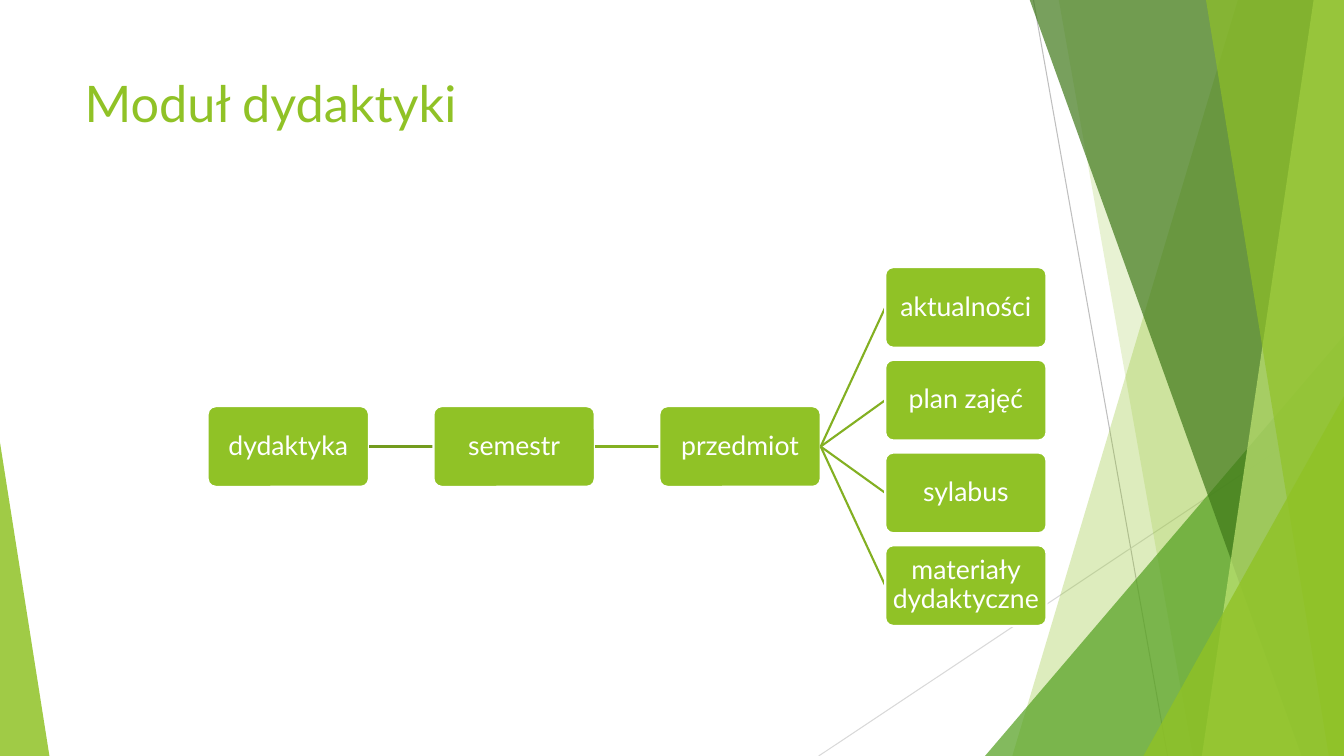
from dataclasses import dataclass

from lxml.etree import SubElement
from pptx import Presentation
from pptx.dml.color import RGBColor
from pptx.enum.shapes import MSO_CONNECTOR, MSO_SHAPE
from pptx.enum.text import MSO_ANCHOR, PP_ALIGN
from pptx.oxml.ns import qn
from pptx.shapes.autoshape import Shape
from pptx.shapes.connector import Connector
from pptx.shapes.shapetree import SlideShapes
from pptx.text.text import TextFrame
from pptx.util import Pt

PX = 9144
SLIDE_W, SLIDE_H = 1333, 750
TOP = -1


@dataclass(frozen=True)
class Theme:
    font: str = "Lato"
    title_size: float = 36
    node_size: float = 19
    lime: str = "90C226"
    pale_lime: str = "C0E474"
    green: str = "54A021"
    forest: str = "3F7819"
    first_link: str = "739B1E"
    link: str = "83B022"
    white: str = "FFFFFF"
    thread: str = "BFBFBF"
    pale_thread: str = "D9D9D9"
    thread_width: float = 0.75
    node_line: float = 1.5


@dataclass(frozen=True)
class Thread:
    start: tuple[int, int]
    end: tuple[int, int]
    color: str


@dataclass(frozen=True)
class Band:
    top_left: int
    bottom_left: int
    color: str
    opacity: int


@dataclass(frozen=True)
class Wedge:
    left: int
    top: int
    width: int
    apex: float
    color: str
    opacity: int


@dataclass(frozen=True)
class Node:
    label: str
    left: int
    top: int


THEME = Theme()

THREADS = [
    Thread((1025, 0), (1158, SLIDE_H), THEME.thread),
    Thread((SLIDE_W, 403), (812, SLIDE_H), THEME.pale_thread),
]
FACETS: list[Band | Wedge] = [
    Band(1228, 1004, THEME.lime, 30),
    Band(1050, 1183, THEME.lime, 20),
    Wedge(977, 333, 356, 1, THEME.green, 72),
    Band(1021, 1291, THEME.forest, 70),
    Band(1303, 1192, THEME.pale_lime, 70),
    Band(1196, 1318, THEME.lime, 65),
    Wedge(1134, 393, 199, 1, THEME.lime, 80),
    Wedge(0, 439, 49, 0, THEME.lime, 85),
]

NODE_W, NODE_H = 160, 80
TREE_LEFT, COLUMN_STEP = 206, 224
LEAF_TOP, LEAF_STEP = 265, 92
STEMS = ["dydaktyka", "semestr", "przedmiot"]
LEAVES = ["aktualności", "plan zajęć", "sylabus", "materiały dydaktyczne"]
STEM_TOP = LEAF_TOP + LEAF_STEP * (len(LEAVES) - 1) // 2


def paint(shape: Shape, color: str, opacity: int = 100) -> None:
    shape.shadow.inherit = False
    shape.fill.solid()
    shape.fill.fore_color.rgb = RGBColor.from_string(color)
    shape.line.fill.background()
    if opacity < 100:
        tint = shape.fill._xPr.find(qn("a:solidFill"))[0]
        SubElement(tint, qn("a:alpha")).set("val", str(opacity * 1000))


def write(frame: TextFrame, text: str, size: float, color: str) -> None:
    frame.word_wrap = True
    run = frame.paragraphs[0].add_run()
    run.text = text
    run.font.name = THEME.font
    run.font.size = Pt(size)
    run.font.color.rgb = RGBColor.from_string(color)


def draw_line(shapes: SlideShapes, start: tuple[int, int], end: tuple[int, int],
              color: str, width: float) -> Connector:
    line = shapes.add_connector(
        MSO_CONNECTOR.STRAIGHT, *(value * PX for value in (*start, *end)))
    line.line.color.rgb = RGBColor.from_string(color)
    line.line.width = Pt(width)
    SubElement(line._element.spPr, qn("a:effectLst"))
    return line


def draw_facet(shapes: SlideShapes, facet: Band | Wedge) -> None:
    if isinstance(facet, Band):
        outline = shapes.build_freeform(facet.top_left, TOP, scale=PX)
        outline.add_line_segments(
            [(SLIDE_W, TOP), (SLIDE_W, SLIDE_H), (facet.bottom_left, SLIDE_H)])
        shape = outline.convert_to_shape()
    else:
        shape = shapes.add_shape(
            MSO_SHAPE.ISOSCELES_TRIANGLE, facet.left * PX, facet.top * PX,
            facet.width * PX, (SLIDE_H - facet.top) * PX)
        shape.adjustments[0] = facet.apex
    paint(shape, facet.color, facet.opacity)


def draw_node(shapes: SlideShapes, node: Node) -> Shape:
    box = shapes.add_shape(
        MSO_SHAPE.ROUNDED_RECTANGLE, node.left * PX, node.top * PX,
        NODE_W * PX, NODE_H * PX)
    box.adjustments[0] = 0.1
    paint(box, THEME.lime)
    box.line.color.rgb = RGBColor.from_string(THEME.white)
    box.line.width = Pt(THEME.node_line)
    frame = box.text_frame
    frame.margin_left = frame.margin_right = PX
    frame.margin_top = frame.margin_bottom = PX
    frame.vertical_anchor = MSO_ANCHOR.MIDDLE
    write(frame, node.label, THEME.node_size, THEME.white)
    frame.paragraphs[0].alignment = PP_ALIGN.CENTER
    frame.paragraphs[0].line_spacing = 0.9
    return box


def draw_child(shapes: SlideShapes, parent: Node, parent_box: Shape,
               child: Node, color: str) -> Shape:
    link = draw_line(
        shapes, (parent.left + NODE_W, parent.top + NODE_H // 2),
        (child.left, child.top + NODE_H // 2), color, THEME.node_line)
    child_box = draw_node(shapes, child)
    link.begin_connect(parent_box, 3)
    link.end_connect(child_box, 1)
    return child_box


def draw_tree(shapes: SlideShapes) -> None:
    stems = [Node(label, TREE_LEFT + column * COLUMN_STEP, STEM_TOP)
             for column, label in enumerate(STEMS)]
    leaf_left = TREE_LEFT + len(STEMS) * COLUMN_STEP
    leaves = [Node(label, leaf_left, LEAF_TOP + row * LEAF_STEP)
              for row, label in enumerate(LEAVES)]
    stem_box = draw_node(shapes, stems[0])
    link_colors = [THEME.first_link, THEME.link]
    for parent, child, color in zip(stems, stems[1:], link_colors):
        stem_box = draw_child(shapes, parent, stem_box, child, color)
    for leaf in leaves:
        draw_child(shapes, stems[-1], stem_box, leaf, THEME.link)


def main() -> None:
    deck = Presentation()
    deck.slide_width, deck.slide_height = SLIDE_W * PX, SLIDE_H * PX
    shapes = deck.slides.add_slide(deck.slide_layouts[6]).shapes
    for thread in THREADS:
        draw_line(shapes, thread.start, thread.end, thread.color, THEME.thread_width)
    for facet in FACETS:
        draw_facet(shapes, facet)
    heading = shapes.add_textbox(74 * PX, 67 * PX, 940 * PX, 144 * PX)
    write(heading.text_frame, "Moduł dydaktyki", THEME.title_size, THEME.lime)
    draw_tree(shapes)
    deck.save("out.pptx")


if __name__ == "__main__":
    main()
